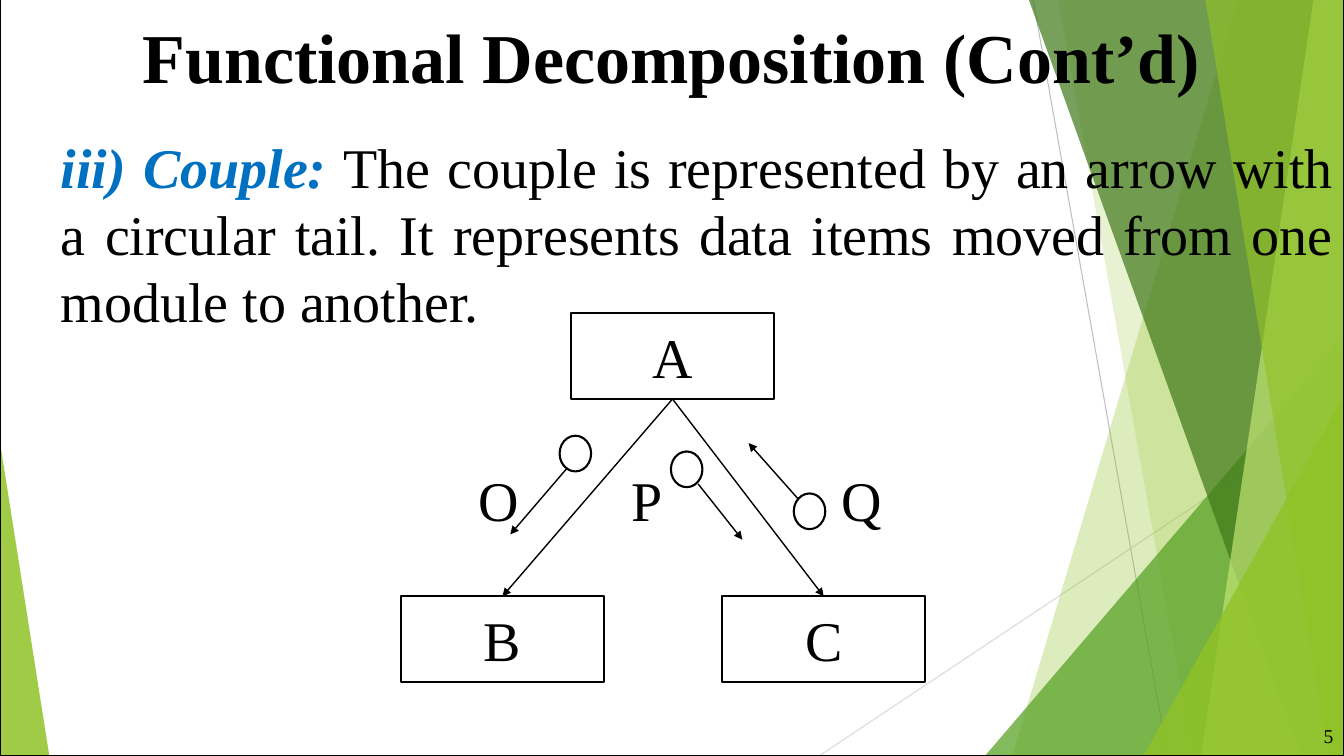
"""Build the slide on couples in functional decomposition."""
from pptx import Presentation
from pptx.dml.color import RGBColor as Rgb
from pptx.enum.shapes import MSO_CONNECTOR as Link, MSO_SHAPE as Kind
from pptx.enum.text import MSO_ANCHOR as Anchor, PP_ALIGN as Align
from pptx.oxml.ns import qn
from pptx.util import Pt
from lxml.etree import SubElement as Sub

PX = 9525
WIDE, HIGH = 1280, 720
THEME = {
    "font": "Times New Roman", "ink": "000000", "accent": "0070C0",
    "lime": "90C226", "green": "54A021", "dark": "3F7819", "pale": "C0E474",
    "gray": "BFBFBF", "light": "D9D9D9",
    "title": 50, "body": 40, "page": 14, "pitch": 48,
}
TITLE = "Functional Decomposition (Cont’d)"
LEAD = "iii) Couple: "
BODY = ("The couple is represented by an arrow with a circular tail. "
        "It represents data items moved from one module to another.")
PAGE = "5"

RAYS = [((984, 0), (1112, HIGH), "gray"), ((WIDE, 387), (780, HIGH), "light")]
BANDS = [
    ("band", 1179, 964, "lime", 30),
    ("band", 1008, 1136, "lime", 20),
    ("wedge", (938, 320, 342, 400), 1, "green", 72),
    ("band", 980, 1239, "dark", 70),
    ("band", 1251, 1144, "pale", 70),
    ("band", 1148, 1265, "lime", 65),
    ("wedge", (1089, 377, 191, 343), 1, "lime", 80),
    ("wedge", (0, 421, 47, 299), 0, "lime", 85),
]
BOX = (193, 82)
MODULES = {"A": (544, 298), "B": (382, 568), "C": (688, 568)}
CALLS = [("A", "C"), ("A", "B")]
RING = (30, 34)
COUPLES = [
    ("O", (445, 443), (533, 415), (540, 446), (486, 509)),
    ("P", (586, 443), (639, 430), (665, 461), (707, 514)),
    ("Q", (791, 443), (756, 470), (760, 475), (713, 422)),
]

deck = Presentation()
deck.slide_width, deck.slide_height = WIDE * PX, HIGH * PX
shapes = deck.slides.add_slide(deck.slide_layouts[6]).shapes


def emu(*vals):
    return [v * PX for v in vals]


def style(item, **form):
    for name, val in form.items():
        setattr(item, name, val)


def paint(shape, tone, alpha):
    shape.shadow.inherit = False
    shape.line.fill.background()
    shape.fill.solid()
    shape.fill.fore_color.rgb = Rgb.from_string(THEME[tone])
    clr = shape.fill._xPr.find(qn("a:solidFill"))[0]
    Sub(clr, qn("a:alpha"), val=str(alpha * 1000))


def stroke(item, width, tone="ink"):
    item.line.color.rgb = Rgb.from_string(THEME[tone])
    item.line.width = Pt(width)


def hollow(kind, x, y, w, h, width):
    shape = shapes.add_shape(kind, *emu(x, y, w, h))
    shape.shadow.inherit = False
    shape.fill.background()
    stroke(shape, width)
    return shape


def link(start, end, width, tone="ink", arrow=True):
    line = shapes.add_connector(Link.STRAIGHT, *emu(*start, *end))
    stroke(line, width, tone)
    if arrow:
        Sub(line.line._get_or_add_ln(), qn("a:tailEnd"), type="triangle")
    Sub(line._element.spPr, qn("a:effectLst"))
    return line


def write(shape, runs, size, align, anchor=Anchor.TOP, inset=0, pitch=None):
    frame = shape.text_frame
    style(frame, word_wrap=True, vertical_anchor=anchor,
          margin_left=inset * PX, margin_right=inset * PX,
          margin_top=0, margin_bottom=0)
    para = frame.paragraphs[0]
    style(para, alignment=align, line_spacing=pitch)
    for text, tone, form in runs:
        run = para.add_run()
        run.text = text
        style(run.font, name=THEME["font"], size=Pt(THEME[size]), **form)
        run.font.color.rgb = Rgb.from_string(THEME[tone])


def label(spot, *args, **form):
    write(shapes.add_textbox(*emu(*spot)), *args, **form)


def decor():
    for start, end, tone in RAYS:
        link(start, end, 0.75, tone, arrow=False)
    for kind, first, second, tone, alpha in BANDS:
        if kind == "band":
            pen = shapes.build_freeform(first, 0, scale=PX)
            pen.add_line_segments([(WIDE, 0), (WIDE, HIGH), (second, HIGH)])
            shape = pen.convert_to_shape()
        else:
            shape = shapes.add_shape(Kind.ISOSCELES_TRIANGLE, *emu(*first))
            shape.adjustments[0] = second
        paint(shape, tone, alpha)
    hollow(Kind.RECTANGLE, 0, 0, WIDE, HIGH, 0.75)


def words():
    label((0, 13, WIDE, 78), [(TITLE, "ink", {"bold": True})],
          "title", Align.CENTER)
    label((58, 126, 1212, 194),
          [(LEAD, "accent", {"bold": True, "italic": True}),
           (BODY, "ink", {})],
          "body", Align.JUSTIFY, pitch=Pt(THEME["pitch"]))
    label((1208, 682, 72, 38), [(PAGE, "ink", {})], "page", Align.RIGHT,
          anchor=Anchor.MIDDLE, inset=10)


def chart():
    nodes = {}
    for name, spot in MODULES.items():
        nodes[name] = hollow(Kind.RECTANGLE, *spot, *BOX, 1.5)
        write(nodes[name], [(name, "ink", {})], "body", Align.CENTER,
              Anchor.MIDDLE)
    for top, low in CALLS:
        line = link((0, 0), (0, 0), 1)
        line.begin_connect(nodes[top], 2)
        line.end_connect(nodes[low], 0)
    for name, spot, ring, start, end in COUPLES:
        label((*spot, 60, 62), [(name, "ink", {})], "body", Align.CENTER)
        hollow(Kind.OVAL, *ring, *RING, 1.5)
        link(start, end, 1)


def main():
    decor()
    words()
    chart()
    deck.save("out.pptx")


if __name__ == "__main__":
    main()
